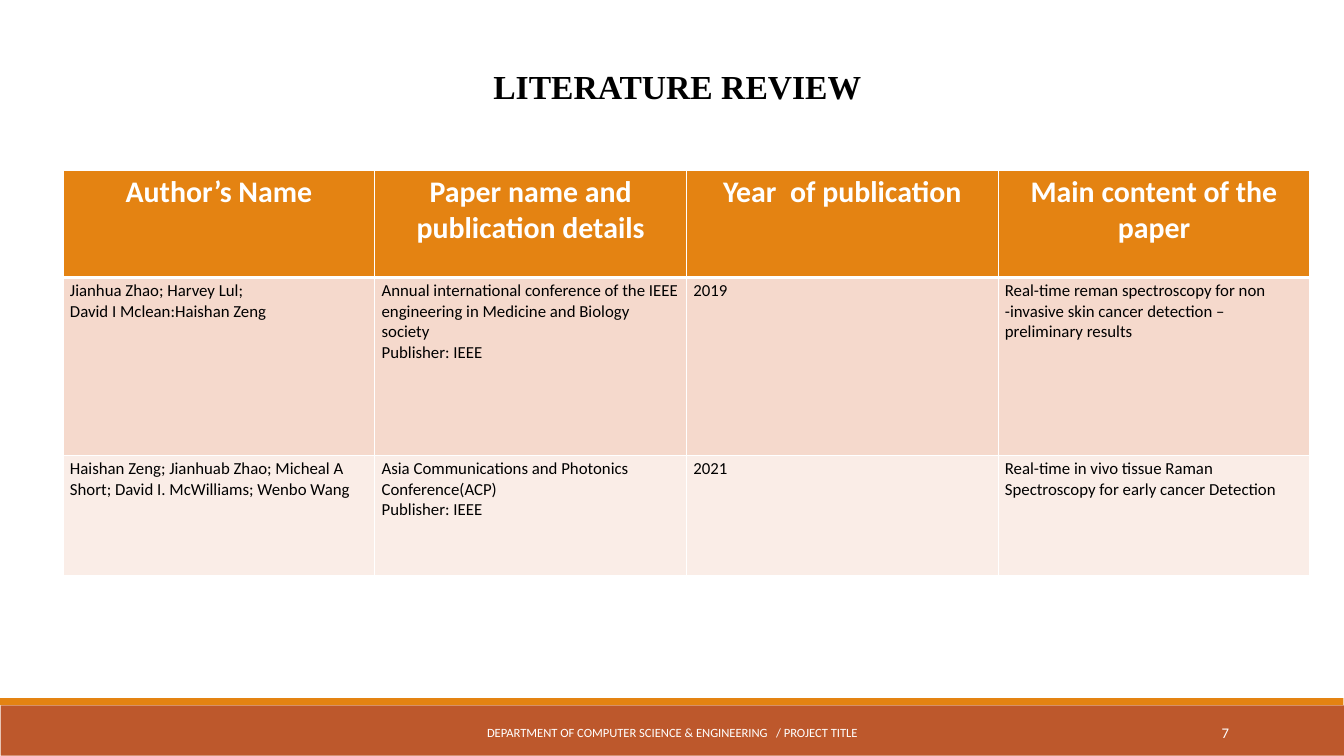
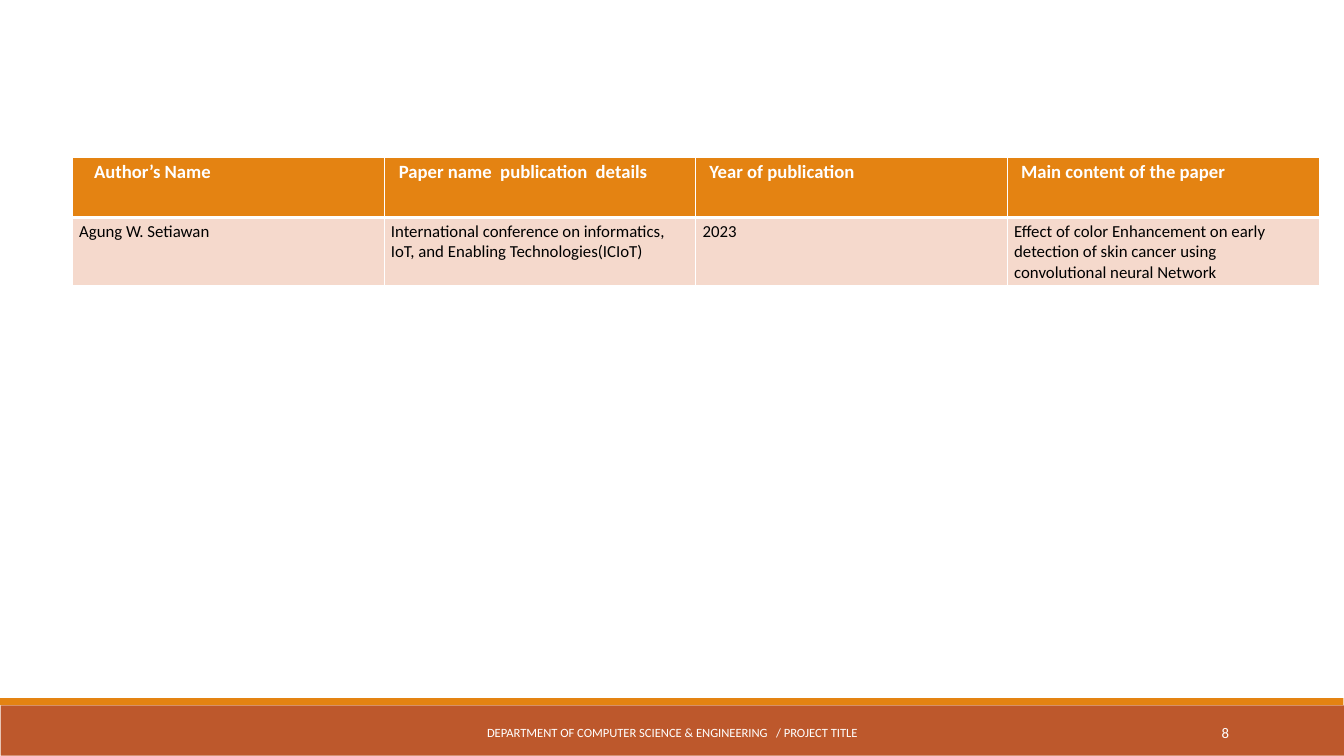
from dataclasses import dataclass

from lxml import etree
from pptx import Presentation
from pptx.dml.color import RGBColor
from pptx.enum.shapes import MSO_SHAPE
from pptx.enum.text import MSO_ANCHOR, PP_ALIGN
from pptx.oxml.ns import qn
from pptx.util import Cm, Pt

WHITE, BLACK = "FFFFFF", "000000"
ORANGE, RUST = "E48312", "BD582C"
ROW_TINTS = ("F5D9CC", "FAEDE7")
BODY_FONT, TITLE_FONT = "Calibri", "Times New Roman"
COLUMN_WIDTH = 11.78
DEPARTMENT = "DEPARTMENT OF COMPUTER SCIENCE & ENGINEERING   / PROJECT TITLE"


@dataclass(frozen=True)
class Box:
    left: float
    top: float
    width: float
    height: float

    def lengths(self) -> tuple:
        return Cm(self.left), Cm(self.top), Cm(self.width), Cm(self.height)


@dataclass(frozen=True)
class TextStyle:
    size: float
    color: str
    align: PP_ALIGN = PP_ALIGN.LEFT
    bold: bool = False
    font: str = BODY_FONT
    spacing: float | None = None


@dataclass(frozen=True)
class Review:
    """A literature table: one header row, then one row per paper."""
    left: float
    top: float
    row_heights: tuple
    headings: tuple
    heading_style: TextStyle
    papers: tuple
    heading_indents: tuple = (0, 0, 0, 0)


@dataclass(frozen=True)
class Page:
    number: int
    review: Review
    title: str = ""


BANDS = (
    (Box(0.02, 26.67, 50.78, 1.9), RUST),
    (Box(0, 26.39, 50.78, 0.27), ORANGE),
)
TITLE_BOX = Box(1.55, 1.6, 46.84, 2.29)
DEPARTMENT_BOX = Box(15.37, 26.92, 20.09, 1.52)
NUMBER_BOX = Box(41.25, 26.92, 5.46, 1.52)

TITLE = TextStyle(36, BLACK, PP_ALIGN.CENTER, True, TITLE_FONT, 1.5)
DEPARTMENT_STYLE = TextStyle(13.5, WHITE, PP_ALIGN.CENTER)
NUMBER_STYLE = TextStyle(15.8, WHITE, PP_ALIGN.RIGHT)
LARGE_HEADING = TextStyle(32, WHITE, PP_ALIGN.CENTER, True)
SMALL_HEADING = TextStyle(20, WHITE, bold=True)
PAPER = TextStyle(18, BLACK)

PAGES = (
    Page(
        7,
        Review(
            2.39, 6.45, (4.04, 6.73, 4.52),
            ("Author’s Name", "Paper name and publication details",
             "Year  of publication", "Main content of the paper"),
            LARGE_HEADING,
            (
                ("Jianhua Zhao; Harvey Lul;\nDavid I Mclean:Haishan Zeng",
                 "Annual international conference of the IEEE engineering in "
                 "Medicine and Biology society\nPublisher: IEEE",
                 "2019",
                 "Real-time reman spectroscopy for non -invasive skin cancer "
                 "detection – preliminary results"),
                ("Haishan Zeng; Jianhuab Zhao; Micheal A Short; "
                 "David I. McWilliams; Wenbo Wang",
                 "Asia Communications and Photonics Conference(ACP)\n"
                 "Publisher: IEEE",
                 "2021",
                 "Real-time in vivo tissue Raman Spectroscopy for early "
                 "cancer Detection"),
            ),
        ),
        "LITERATURE REVIEW",
    ),
    Page(
        8,
        Review(
            2.74, 5.94, (2.29, 2.29),
            ("Author’s Name", "Paper name  publication  details",
             "Year of publication", "Main content of the paper"),
            SMALL_HEADING,
            (
                ("Agung W. Setiawan",
                 "International conference on informatics, IoT, and Enabling "
                 "Technologies(ICIoT)",
                 "2023",
                 "Effect of color Enhancement on early detection of skin "
                 "cancer using convolutional neural Network"),
            ),
            (0.56, 0.3, 0.26, 0.26),
        ),
    ),
)


def rgb(color: str) -> RGBColor:
    return RGBColor.from_string(color)


def write(frame, text: str, style: TextStyle, indent: float = 0) -> None:
    """Fill a text frame, one paragraph per line of text."""
    frame.word_wrap = True
    frame.text = text
    for paragraph in frame.paragraphs:
        if indent:
            properties = paragraph._p.get_or_add_pPr()
            properties.set("marL", str(int(Cm(indent))))
            properties.set("indent", "0")
        paragraph.alignment = style.align
        if style.spacing:
            paragraph.line_spacing = style.spacing
        font = paragraph.font
        font.name, font.size, font.bold = style.font, Pt(style.size), style.bold
        font.color.rgb = rgb(style.color)


def add_text(slide, box: Box, text: str, style: TextStyle,
             anchor: MSO_ANCHOR = MSO_ANCHOR.MIDDLE, indent: float = 0) -> None:
    frame = slide.shapes.add_textbox(*box.lengths()).text_frame
    frame.vertical_anchor = anchor
    write(frame, text, style, indent)


def add_band(slide, box: Box, color: str) -> None:
    band = slide.shapes.add_shape(MSO_SHAPE.RECTANGLE, *box.lengths())
    band.shadow.inherit = False
    band.fill.solid()
    band.fill.fore_color.rgb = rgb(color)
    band.line.fill.background()


def set_borders(cell, top: float, bottom: float) -> None:
    """White cell borders; the side borders are 1 pt."""
    properties = cell._tc.get_or_add_tcPr()
    for side, width in (("L", 1), ("R", 1), ("T", top), ("B", bottom)):
        line = etree.SubElement(properties, qn(f"a:ln{side}"), w=str(int(Pt(width))))
        fill = etree.SubElement(line, qn("a:solidFill"))
        etree.SubElement(fill, qn("a:srgbClr"), val=WHITE)


def add_review(slide, review: Review) -> None:
    rows = (review.headings, *review.papers)
    columns = len(review.headings)
    box = Box(review.left, review.top, COLUMN_WIDTH * columns, sum(review.row_heights))
    table = slide.shapes.add_table(len(rows), columns, *box.lengths()).table
    for column in table.columns:
        column.width = Cm(COLUMN_WIDTH)
    for r, (texts, height) in enumerate(zip(rows, review.row_heights)):
        table.rows[r].height = Cm(height)
        heading = r == 0
        for c, text in enumerate(texts):
            cell = table.cell(r, c)
            # A thicker rule parts the headings from the papers
            set_borders(cell, top=3 if r == 1 else 1, bottom=3 if heading else 1)
            cell.fill.solid()
            cell.fill.fore_color.rgb = rgb(ORANGE if heading else ROW_TINTS[(r - 1) % 2])
            write(cell.text_frame, text,
                  review.heading_style if heading else PAPER,
                  review.heading_indents[c] if heading else 0)


def add_page(presentation, page: Page) -> None:
    slide = presentation.slides.add_slide(presentation.slide_layouts[6])
    # Footer
    for box, color in BANDS:
        add_band(slide, box, color)
    add_text(slide, DEPARTMENT_BOX, DEPARTMENT, DEPARTMENT_STYLE)
    add_text(slide, NUMBER_BOX, str(page.number), NUMBER_STYLE)
    # Title and table
    if page.title:
        add_text(slide, TITLE_BOX, page.title, TITLE, MSO_ANCHOR.TOP, indent=1.27)
    add_review(slide, page.review)


def main() -> None:
    presentation = Presentation()
    presentation.slide_width, presentation.slide_height = Cm(50.8), Cm(28.58)
    for page in PAGES:
        add_page(presentation, page)
    presentation.save("out.pptx")


if __name__ == "__main__":
    main()
